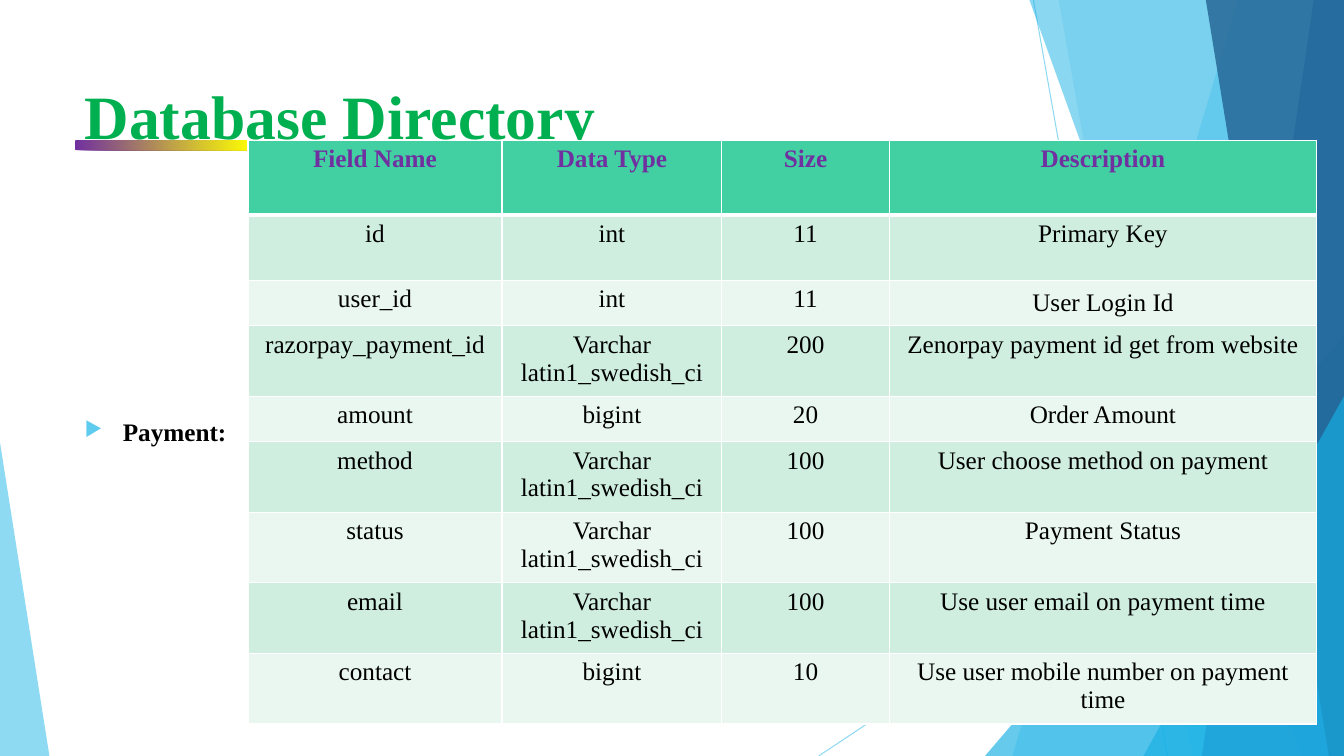
from lxml import etree
from pptx import Presentation
from pptx.dml.color import RGBColor
from pptx.enum.shapes import MSO_CONNECTOR, MSO_SHAPE
from pptx.enum.text import MSO_ANCHOR, PP_ALIGN
from pptx.oxml import parse_xml
from pptx.oxml.ns import nsdecls, qn
from pptx.util import Inches, Pt

WIDTH, HEIGHT = 13.33, 7.5
WHITE = RGBColor(0xFF, 0xFF, 0xFF)
BLACK = RGBColor(0x00, 0x00, 0x00)
SKY = RGBColor(0x5F, 0xCB, 0xEF)
CYAN = RGBColor(0x17, 0xB0, 0xE4)
BLUE = RGBColor(0x2E, 0x83, 0xC3)
NAVY = RGBColor(0x22, 0x62, 0x92)
GREEN = RGBColor(0x00, 0xB0, 0x50)
PURPLE = RGBColor(0x70, 0x30, 0xA0)
RED = RGBColor(0xFF, 0x00, 0x00)
YELLOW = RGBColor(0xFF, 0xFF, 0x00)
HEADER_FILL = RGBColor(0x42, 0xD0, 0xA2)
BAND_FILLS = (RGBColor(0xCF, 0xEE, 0xE0), RGBColor(0xE9, 0xF7, 0xF0))

VARCHAR = "Varchar latin1_swedish_ci"
COLUMN_WIDTHS = (2.52, 2.18, 1.66, 4.24)
ROW_HEIGHTS = (0.74, 0.65, 0.45, 0.65, 0.45, 0.65, 0.65, 0.65, 0.65)
PAYMENT_FIELDS = (
    ("Field Name", "Data Type", "Size", "Description"),
    ("id", "int", "11", "Primary Key"),
    ("user_id", "int", "11", "User Login Id"),
    ("razorpay_payment_id", VARCHAR, "200", "Zenorpay payment id get from website"),
    ("amount", "bigint", "20", "Order Amount"),
    ("method", VARCHAR, "100", "User choose method on payment"),
    ("status", VARCHAR, "100", "Payment Status"),
    ("email", VARCHAR, "100", "Use user email on payment time"),
    ("contact", "bigint", "10", "Use user mobile number on payment time"),
)


class SlideBuilder:
    def __init__(self, slide, font_name):
        self.slide = slide
        self.font_name = font_name

    def set_opacity(self, properties, percent):
        color = properties.find(".//" + qn("a:srgbClr"))
        etree.SubElement(color, qn("a:alpha"), val=str(percent * 1000))

    def paint(self, shape, color, opacity):
        shape.shadow.inherit = False
        shape.fill.solid()
        shape.fill.fore_color.rgb = color
        self.set_opacity(shape.fill._xPr, opacity)
        shape.line.fill.background()

    def line(self, start, end):
        points = [Inches(value) for value in (*start, *end)]
        connector = self.slide.shapes.add_connector(MSO_CONNECTOR.STRAIGHT, *points)
        connector.line.color.rgb = SKY
        connector.line.width = Pt(0.75)
        properties = connector._element.spPr
        self.set_opacity(properties, 70)
        etree.SubElement(properties, qn("a:effectLst"))

    def right_panel(self, top_x, bottom_x, color, opacity):
        """Fill from a slanted left edge to the slide's right edge."""
        builder = self.slide.shapes.build_freeform(
            Inches(top_x), Inches(0), scale=1.0)
        corners = ((WIDTH, 0), (WIDTH, HEIGHT), (bottom_x, HEIGHT))
        builder.add_line_segments([(Inches(x), Inches(y)) for x, y in corners])
        self.paint(builder.convert_to_shape(), color, opacity)

    def corner_triangle(self, left, width, height, apex, color, opacity):
        """Stand a triangle on the slide's bottom edge."""
        shape = self.slide.shapes.add_shape(
            MSO_SHAPE.ISOSCELES_TRIANGLE, Inches(left), Inches(HEIGHT - height),
            Inches(width), Inches(height))
        shape.adjustments[0] = apex
        self.paint(shape, color, opacity)

    def gradient_bar(self, left, top, width, height, stops):
        shape = self.slide.shapes.add_shape(
            MSO_SHAPE.ROUNDED_RECTANGLE, Inches(left), Inches(top),
            Inches(width), Inches(height))
        shape.shadow.inherit = False
        shape.line.fill.background()
        stop_xml = "".join(
            f'<a:gs pos="{position * 1000}"><a:srgbClr val="{color}"/></a:gs>'
            for position, color in stops)
        gradient = parse_xml(
            f'<a:gradFill {nsdecls("a")}><a:gsLst>{stop_xml}</a:gsLst>'
            '<a:path path="circle"><a:fillToRect l="50000" t="-80000" '
            'r="50000" b="180000"/></a:path></a:gradFill>')
        shape._element.spPr.find(qn("a:prstGeom")).addnext(gradient)

    def add_run(self, paragraph, text, size, color, bold):
        run = paragraph.add_run()
        run.text = text
        run.font.name = self.font_name
        run.font.size = Pt(size)
        run.font.bold = bold
        run.font.color.rgb = color

    def text(self, left, top, width, height, text, size, color, bullet=False):
        box = self.slide.shapes.add_textbox(
            Inches(left), Inches(top), Inches(width), Inches(height))
        frame = box.text_frame
        frame.word_wrap = True
        paragraph = frame.paragraphs[0]
        if bullet:
            self.add_bullet(paragraph)
        self.add_run(paragraph, text, size, color, True)
        return frame

    def add_bullet(self, paragraph):
        properties = paragraph._p.get_or_add_pPr()
        properties.set("marL", str(Inches(0.38)))
        properties.set("indent", str(Inches(-0.38)))
        bullet_color = etree.SubElement(properties, qn("a:buClr"))
        etree.SubElement(bullet_color, qn("a:srgbClr"), val=str(SKY))
        etree.SubElement(properties, qn("a:buSzPct"), val="80000")
        etree.SubElement(properties, qn("a:buChar"), char="▶")

    def cell_borders(self, cell, bottom_width, top_width):
        properties = cell._tc.get_or_add_tcPr()
        borders = (("L", 1), ("R", 1), ("T", top_width), ("B", bottom_width))
        for side, width in borders:
            border = etree.SubElement(
                properties, qn(f"a:ln{side}"), w=str(Pt(width)))
            fill = etree.SubElement(border, qn("a:solidFill"))
            etree.SubElement(fill, qn("a:srgbClr"), val=str(WHITE))

    def table(self, left, top, rows, column_widths, row_heights):
        table = self.slide.shapes.add_table(
            len(rows), len(column_widths), Inches(left), Inches(top),
            Inches(sum(column_widths)), Inches(sum(row_heights))).table
        for column, width in zip(table.columns, column_widths):
            column.width = Inches(width)
        for row, height in zip(table.rows, row_heights):
            row.height = Inches(height)
        for row_index, values in enumerate(rows):
            header = row_index == 0
            fill = HEADER_FILL if header else BAND_FILLS[(row_index - 1) % 2]
            for column_index, value in enumerate(values):
                cell = table.cell(row_index, column_index)
                self.cell_borders(cell, 3 if header else 1,
                                  3 if row_index == 1 else 1)
                cell.fill.solid()
                cell.fill.fore_color.rgb = fill
                paragraph = cell.text_frame.paragraphs[0]
                paragraph.alignment = PP_ALIGN.CENTER
                self.add_run(paragraph, value, 18,
                             PURPLE if header else BLACK, header)
        return table


def main():
    presentation = Presentation()
    presentation.slide_width = Inches(WIDTH)
    presentation.slide_height = Inches(HEIGHT)
    slide = presentation.slides.add_slide(presentation.slide_layouts[6])
    builder = SlideBuilder(slide, "Times New Roman")

    builder.line((10.25, 0), (11.58, HEIGHT))
    builder.line((WIDTH, 4.03), (8.12, HEIGHT))
    builder.right_panel(12.28, 10.04, SKY, 36)
    builder.right_panel(10.5, 11.83, SKY, 20)
    builder.corner_triangle(9.77, 3.56, 4.17, 1, CYAN, 66)
    builder.right_panel(10.21, 12.91, CYAN, 50)
    builder.right_panel(13.03, 11.92, BLUE, 70)
    builder.right_panel(11.96, 13.18, NAVY, 80)
    builder.corner_triangle(11.34, 1.99, 3.57, 1, CYAN, 66)
    builder.corner_triangle(0, 0.49, 3.11, 0, SKY, 70)

    builder.text(0.74, 4.08, 1.72, 0.38, "Payment:", 18, BLACK, bullet=True)
    title = builder.text(0.74, 0.67, 9.65, 1.44, "Database Directory", 44, GREEN)
    title.margin_top = Inches(0.1)
    builder.gradient_bar(0.74, 1.39, 5.45, 0.1,
                         ((0, RED), (35, YELLOW), (100, PURPLE)))
    table = builder.table(2.46, 1.39, PAYMENT_FIELDS, COLUMN_WIDTHS, ROW_HEIGHTS)
    table.cell(2, 3).vertical_anchor = MSO_ANCHOR.MIDDLE

    presentation.save("out.pptx")


if __name__ == "__main__":
    main()
